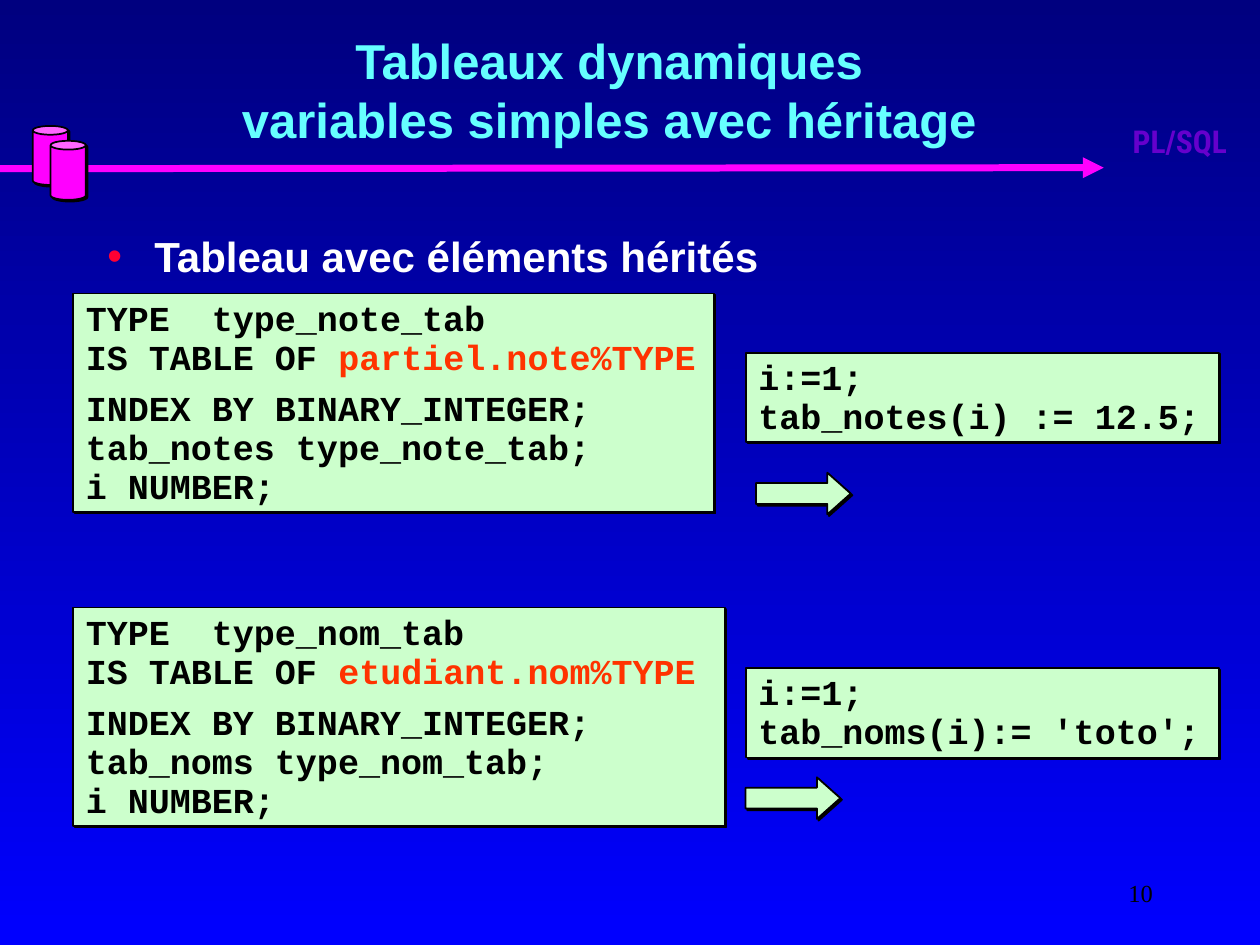
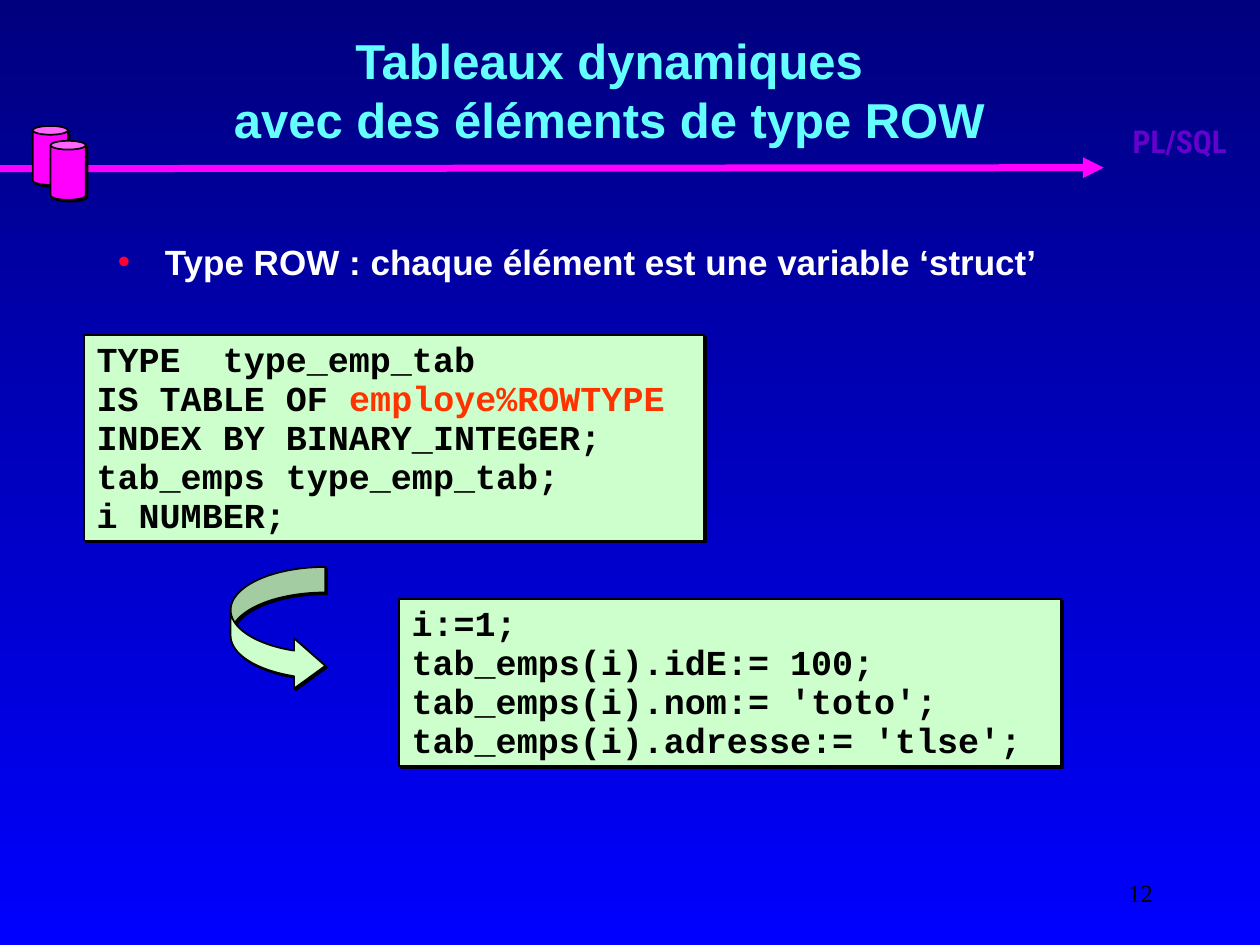
from dataclasses import dataclass

from lxml.etree import SubElement
from pptx import Presentation
from pptx.dml.color import RGBColor
from pptx.enum.shapes import MSO_CONNECTOR, MSO_SHAPE
from pptx.enum.text import MSO_ANCHOR, MSO_AUTO_SIZE, PP_ALIGN
from pptx.oxml.ns import qn
from pptx.shapes.autoshape import Shape
from pptx.slide import Slide, SlideLayout, SlideMaster
from pptx.text.text import Font
from pptx.util import Cm, Length, Pt


@dataclass(frozen=True)
class TextStyle:
    family: str
    size: float
    color: str
    bold: bool = True


@dataclass(frozen=True)
class Theme:
    sky_top: str = "00007F"
    sky_bottom: str = "0000FF"
    accent: str = "FF00FF"
    panel: str = "CCFFCC"
    outline: str = "000000"
    bullet: str = "FF0033"
    highlight: str = "FF3300"
    title: TextStyle = TextStyle("Arial", 28, "66FFFF")
    topic: TextStyle = TextStyle("Arial", 24, "FFFFFF")
    long_topic: TextStyle = TextStyle("Arial", 20, "FFFFFF")
    code: TextStyle = TextStyle("Courier New", 20, "000000")
    badge: TextStyle = TextStyle("Roboto Condensed", 18, "6600CC")
    page: TextStyle = TextStyle("Times New Roman", 14, "000000", bold=False)
    code_pitch: float = 22.3


THEME = Theme()


@dataclass(frozen=True)
class Box:
    """A rectangle in centimetres."""
    left: float
    top: float
    width: float
    height: float

    def lengths(self) -> tuple[Length, ...]:
        return tuple(Cm(v) for v in (self.left, self.top, self.width, self.height))


@dataclass(frozen=True)
class CodePanel:
    box: Box
    lines: tuple[str, ...]
    highlight: str = ""
    gap_after_highlight: float = 0


@dataclass(frozen=True)
class Arrow:
    box: Box
    preset: MSO_SHAPE
    adjustments: tuple[float, ...]


@dataclass(frozen=True)
class Lesson:
    title: str
    topic: str
    topic_style: TextStyle
    topic_box: Box
    page: str
    panels: tuple[CodePanel, ...]
    arrows: tuple[Arrow, ...]


TITLE_BOX = Box(1.06, 0.21, 22.44, 3.18)
PAGE_BOX = Box(18.2, 17.36, 5.29, 1.27)
BADGE_BOX = Box(22.3, 2.34, 2.97, 1.98)
CAN_BOXES = (Box(0.66, 2.54, 0.71, 1.19), Box(1.02, 2.84, 0.71, 1.19))


def rgb(color: str) -> RGBColor:
    return RGBColor.from_string(color)


def apply_style(font: Font, style: TextStyle) -> None:
    font.name = style.family
    font.size = Pt(style.size)
    font.bold = style.bold
    font.color.rgb = rgb(style.color)


def place(shape: Shape, box: Box) -> None:
    shape.left, shape.top, shape.width, shape.height = box.lengths()


def finish_solid(shape: Shape, fill: str) -> None:
    """Fill, thin black outline and a hard shadow to the lower right."""
    shape.fill.solid()
    shape.fill.fore_color.rgb = rgb(fill)
    shape.line.color.rgb = rgb(THEME.outline)
    shape.line.width = Pt(1)
    shape.shadow.inherit = False
    effects = shape.element.spPr.find(qn("a:effectLst"))
    shadow = SubElement(effects, qn("a:outerShdw"), blurRad="0",
                        dist=str(Pt(1.4)), dir="2700000", algn="ctr", rotWithShape="0")
    SubElement(shadow, qn("a:srgbClr"), val=THEME.outline)


def add_label(slide: Slide, box: Box, text: str, style: TextStyle,
              align: PP_ALIGN, anchor: MSO_ANCHOR) -> Shape:
    label = slide.shapes.add_textbox(*box.lengths())
    frame = label.text_frame
    frame.word_wrap = True
    frame.vertical_anchor = anchor
    frame.text = text
    frame.paragraphs[0].alignment = align
    apply_style(frame.paragraphs[0].font, style)
    return label


def paint_background(master: SlideMaster) -> None:
    fill = master.background.fill
    fill.gradient()
    fill.gradient_angle = 270
    for stop, color in zip(fill.gradient_stops, (THEME.sky_top, THEME.sky_bottom)):
        stop.color.rgb = rgb(color)


def decorate_layout(layout: SlideLayout, slide: Slide) -> None:
    """Draw the shared band on a slide, then move it to the layout."""
    band = slide.shapes.add_connector(MSO_CONNECTOR.STRAIGHT,
                                      Cm(0), Cm(3.4), Cm(22.25), Cm(3.38))
    band.line.color.rgb = rgb(THEME.accent)
    band.line.width = Pt(4)
    properties = band.element.spPr
    SubElement(properties.find(qn("a:ln")), qn("a:tailEnd"), type="triangle")
    SubElement(properties, qn("a:effectLst"))

    database = slide.shapes.add_group_shape()
    for box in CAN_BOXES:
        can = database.shapes.add_shape(MSO_SHAPE.CAN, *box.lengths())
        can.adjustments[0] = 0.25
        finish_solid(can, THEME.accent)

    badge = add_label(slide, BADGE_BOX, "PL/SQL", THEME.badge,
                      PP_ALIGN.CENTER, MSO_ANCHOR.TOP)
    for part in (band, database, badge):
        layout.shapes.element.append(part.element)


def fill_title(slide: Slide, text: str) -> None:
    title = slide.shapes.title
    place(title, TITLE_BOX)
    frame = title.text_frame
    frame.text = text
    frame.auto_size = MSO_AUTO_SIZE.NONE
    frame.vertical_anchor = MSO_ANCHOR.MIDDLE
    frame.paragraphs[0].alignment = PP_ALIGN.CENTER
    apply_style(frame.paragraphs[0].font, THEME.title)


def fill_topic(slide: Slide, lesson: Lesson) -> None:
    body = slide.placeholders[1]
    place(body, lesson.topic_box)
    frame = body.text_frame
    frame.text = lesson.topic
    frame.auto_size = MSO_AUTO_SIZE.NONE
    topic = frame.paragraphs[0]
    topic.space_before = Pt(0)
    properties = topic._p.get_or_add_pPr()
    properties.set("marL", str(Cm(0.95)))
    properties.set("indent", str(-Cm(0.95)))
    bullet_color = SubElement(properties, qn("a:buClr"))
    SubElement(bullet_color, qn("a:srgbClr"), val=THEME.bullet)
    SubElement(properties, qn("a:buChar"), char="•")
    apply_style(topic.font, lesson.topic_style)


def add_code_panel(slide: Slide, panel: CodePanel) -> None:
    shape = slide.shapes.add_shape(MSO_SHAPE.RECTANGLE, *panel.box.lengths())
    finish_solid(shape, THEME.panel)
    frame = shape.text_frame
    frame.word_wrap = True
    frame.vertical_anchor = MSO_ANCHOR.MIDDLE
    for number, line in enumerate(panel.lines):
        paragraph = frame.add_paragraph() if number else frame.paragraphs[0]
        paragraph.alignment = PP_ALIGN.LEFT
        paragraph.line_spacing = Pt(THEME.code_pitch)
        apply_style(paragraph.font, THEME.code)
        if panel.highlight and panel.highlight in line:
            paragraph.space_after = Pt(panel.gap_after_highlight)
            paragraph.add_run().text = line.removesuffix(panel.highlight)
            inherited = paragraph.add_run()
            inherited.text = panel.highlight
            inherited.font.color.rgb = rgb(THEME.highlight)
        else:
            paragraph.add_run().text = line


def add_arrow(slide: Slide, arrow: Arrow) -> None:
    shape = slide.shapes.add_shape(arrow.preset, *arrow.box.lengths())
    for index, value in enumerate(arrow.adjustments):
        shape.adjustments[index] = value
    finish_solid(shape, THEME.panel)


def declaration(box: Box, item: str, element_type: str, gap: float = 0) -> CodePanel:
    """The PL/SQL declaration of a dynamic table of the given element type."""
    lines = (f"TYPE  type_{item}_tab",
             f"IS TABLE OF {element_type}",
             "INDEX BY BINARY_INTEGER;",
             f"tab_{item}s type_{item}_tab;",
             "i NUMBER;")
    return CodePanel(box, lines, element_type, gap)


def assignment(box: Box, *statements: str) -> CodePanel:
    return CodePanel(box, ("i:=1;", *statements))


def right_arrow(left: float, top: float) -> Arrow:
    return Arrow(Box(left, top, 1.91, 0.84), MSO_SHAPE.RIGHT_ARROW, (0.5, 0.56))


LESSONS = (
    Lesson(
        title="Tableaux dynamiques\vvariables simples avec héritage",
        topic="Tableau avec éléments hérités",
        topic_style=THEME.topic,
        topic_box=Box(1.91, 4.52, 21.59, 11.43),
        page="10",
        panels=(
            declaration(Box(1.48, 5.92, 12.91, 4.4), "note", "partiel.note%TYPE", 6.8),
            assignment(Box(15.04, 7.11, 9.53, 1.8), "tab_notes(i) := 12.5;"),
            declaration(Box(1.48, 12.25, 13.13, 4.4), "nom", "etudiant.nom%TYPE", 6.8),
            assignment(Box(15.04, 13.47, 9.53, 1.8), "tab_noms(i):= 'toto';"),
        ),
        arrows=(right_arrow(15.24, 9.53), right_arrow(15.03, 15.67)),
    ),
    Lesson(
        title="Tableaux dynamiques\vavec des éléments de type ROW",
        topic="Type ROW : chaque élément est une variable ‘struct’",
        topic_style=THEME.long_topic,
        topic_box=Box(2.12, 4.73, 21.59, 11.43),
        page="12",
        panels=(
            declaration(Box(1.7, 6.76, 12.5, 4.14), "emp", "employe%ROWTYPE"),
            assignment(Box(8.05, 12.07, 13.34, 3.38),
                       "tab_emps(i).idE:= 100;",
                       "tab_emps(i).nom:= 'toto';",
                       "tab_emps(i).adresse:= 'tlse';"),
        ),
        arrows=(Arrow(Box(4.65, 11.43, 1.91, 2.5),
                      MSO_SHAPE.CURVED_RIGHT_ARROW, (0.27, 0.53, 0.33)),),
    ),
)


def main() -> None:
    deck = Presentation()
    deck.slide_width, deck.slide_height = Cm(25.4), Cm(19.05)
    paint_background(deck.slide_master)
    layout = deck.slide_layouts[1]
    slides = [deck.slides.add_slide(layout) for _ in LESSONS]
    decorate_layout(layout, slides[0])
    for slide, lesson in zip(slides, LESSONS):
        fill_title(slide, lesson.title)
        fill_topic(slide, lesson)
        add_label(slide, PAGE_BOX, lesson.page, THEME.page,
                  PP_ALIGN.RIGHT, MSO_ANCHOR.MIDDLE)
        for panel in lesson.panels:
            add_code_panel(slide, panel)
        for arrow in lesson.arrows:
            add_arrow(slide, arrow)
    deck.save("out.pptx")


if __name__ == "__main__":
    main()
